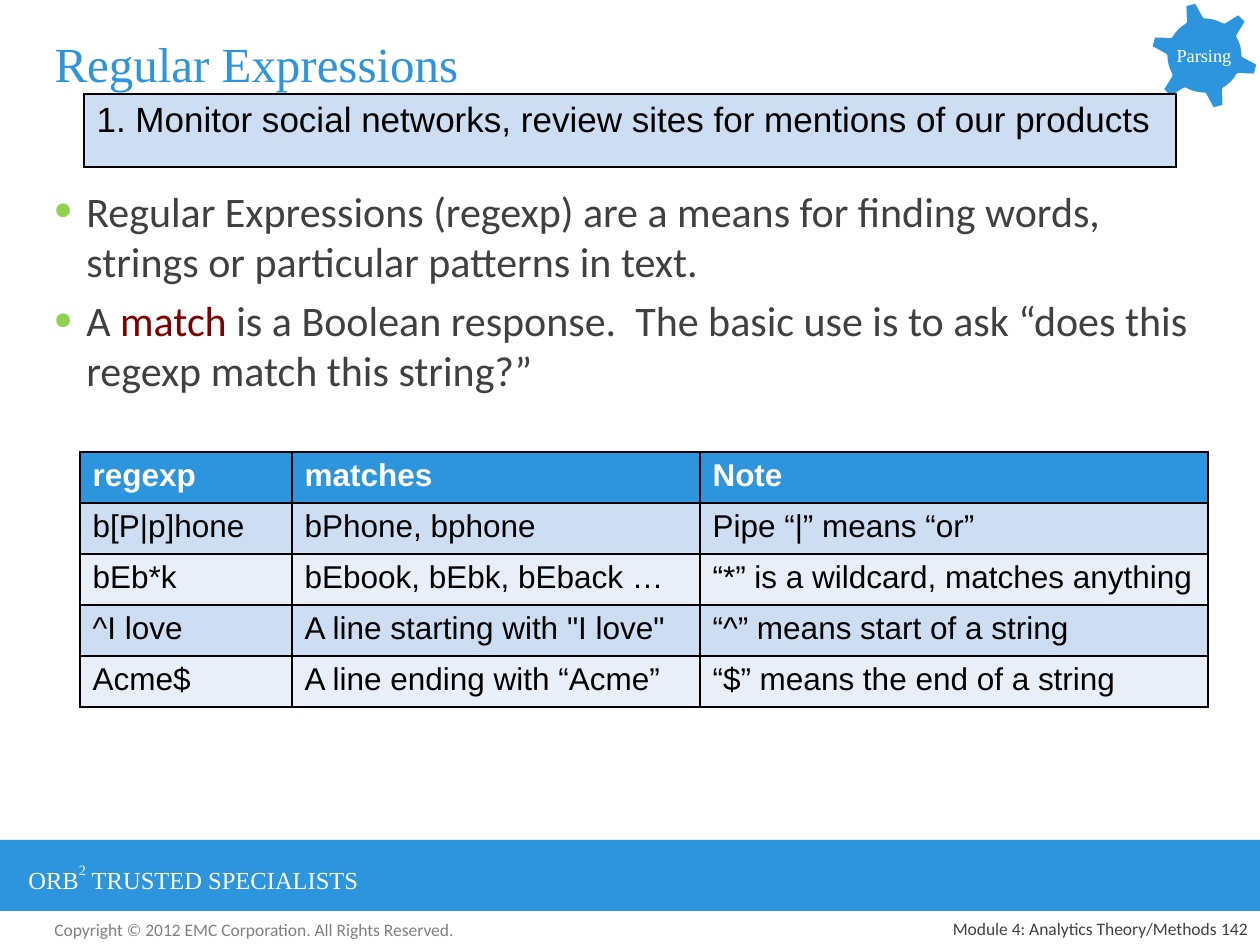
from lxml.etree import SubElement
from pptx import Presentation
from pptx.dml.color import RGBColor
from pptx.enum.shapes import MSO_SHAPE
from pptx.enum.text import MSO_ANCHOR, PP_ALIGN
from pptx.oxml import parse_xml
from pptx.oxml.ns import nsdecls, qn
from pptx.util import Pt

SCALE = 914400 / 126
BLUE, PALE, LIGHT = "2C95DD", "CDDDF2", "E8EFF9"
WHITE, BLACK, DARK = "FFFFFF", "000000", "404040"


def box(*place):
    return [round(n * SCALE) for n in place]


def write(line, runs, form):
    for text, more in runs:
        run = line.add_run()
        run.text = text
        for key, value in {**form, **more}.items():
            if key == "color":
                run.font.color.rgb = RGBColor.from_string(value)
            elif key == "baseline":
                run._r.get_or_add_rPr().set(key, value)
            else:
                setattr(run.font, key, value)


deck = Presentation()
deck.slide_width, deck.slide_height = box(1260, 945)
slide = deck.slides.add_slide(deck.slide_layouts[5])
shapes = slide.shapes

title = shapes.title
title.left, title.top, title.width, title.height = box(42, 10, 1166, 105)
title.text_frame.vertical_anchor = MSO_ANCHOR.MIDDLE
line = title.text_frame.paragraphs[0]
line.alignment = PP_ALIGN.LEFT
write(line, [("Regular Expressions", {})],
      {"size": Pt(28), "name": "Times New Roman", "color": BLUE})

band = shapes.add_group_shape().shapes
badge = shapes.add_group_shape().shapes
strip = band.add_shape(MSO_SHAPE.RECTANGLE, *box(0, 840, 1260, 71))
gear = badge.add_shape(MSO_SHAPE.GEAR_6, *box(1149, 0, 111, 111))
gear.rotation = 345
for shape in (strip, gear):
    shape.shadow.inherit = False
    shape.fill.solid()
    shape.fill.fore_color.rgb = RGBColor.from_string(BLUE)
strip.line.fill.background()
gear.line.color.rgb = RGBColor.from_string(WHITE)
gear.line.width = Pt(2)

serif = {"name": "Times New Roman", "color": WHITE}
small = {"name": "Calibri", "size": Pt(10), "color": DARK}
labels = [
    (band, (16, 855, 466, 43), PP_ALIGN.LEFT, MSO_ANCHOR.TOP,
     [("ORB", {}), ("2", {"baseline": "56000"}), (" TRUSTED SPECIALISTS", {})],
     {**serif, "size": Pt(14)}),
    (badge, (1173, 24, 62, 62), PP_ALIGN.CENTER, MSO_ANCHOR.MIDDLE,
     [("Parsing", {})], {**serif, "size": Pt(10.5)}),
    (shapes, (42, 913, 431, 34), PP_ALIGN.LEFT, MSO_ANCHOR.TOP,
     [("Copyright © 2012 EMC Corporation. All Rights Reserved.", {})],
     {**small, "color": "808080"}),
    (shapes, (1197, 913, 63, 32), PP_ALIGN.RIGHT, MSO_ANCHOR.BOTTOM,
     [("142", {})], small),
    (shapes, (651, 913, 578, 32), PP_ALIGN.RIGHT, MSO_ANCHOR.BOTTOM,
     [("Module 4: Analytics Theory/Methods", {})], small),
]
for group, place, align, anchor, runs, form in labels:
    frame = group.add_textbox(*box(*place)).text_frame
    frame.word_wrap = True
    frame.vertical_anchor = anchor
    if group is badge:
        for side in ("left", "top", "right", "bottom"):
            setattr(frame, "margin_" + side, box(1)[0])
    line = frame.paragraphs[0]
    line.alignment = align
    write(line, runs, form)

points = [
    [("Regular Expressions (regexp) are a means for finding words, "
      "strings or particular patterns in text.", {})],
    [("A ", {}), ("match ", {"color": "800000"}),
     ("is a Boolean response.  The basic use is to ask "
      "“does this regexp match this string?”", {})],
]
frame = shapes.add_textbox(*box(42, 179, 1166, 231)).text_frame
frame.word_wrap = True
for rank, runs in enumerate(points):
    line = frame.add_paragraph() if rank else frame.paragraphs[0]
    props = line._p.get_or_add_pPr()
    indent = box(32)[0]
    props.set("marL", str(indent))
    props.set("indent", str(-indent))
    tint = SubElement(props, qn("a:buClr"))
    SubElement(tint, qn("a:srgbClr"), val="92D050")
    SubElement(props, qn("a:buSzPct"), val="120000")
    SubElement(props, qn("a:buFont"), typeface="Arial")
    SubElement(props, qn("a:buChar"), char="•")
    if rank:
        line.space_before = Pt(4.8)
    write(line, runs, {"name": "Calibri", "size": Pt(24), "color": DARK})

goal = [["1. Monitor social networks, review sites for mentions of our products"]]
rules = [
    ["regexp", "matches", "Note"],
    ["b[P|p]hone", "bPhone, bphone", "Pipe “|” means “or”"],
    ["bEb*k", "bEbook, bEbk, bEback …", "“*” is a wildcard, matches anything"],
    ["^I love", 'A line starting with "I love"', "“^” means start of a string"],
    ["Acme$", "A line ending with “Acme”", "“$” means the end of a string"],
]
tables = [
    (goal, 84, 94, [1092], 73, 20, [PALE]),
    (rules, 80, 452, [212, 408, 508], 51, 18, [BLUE, PALE, LIGHT, PALE, LIGHT]),
]
for rows, left, top, widths, height, size, fills in tables:
    place = box(left, top, sum(widths), height * len(rows))
    table = shapes.add_table(len(rows), len(widths), *place).table
    table.horz_banding = False
    for col, width in zip(table.columns, box(*widths)):
        col.width = width
    for row, words, fill in zip(table.rows, rows, fills):
        row.height = box(height)[0]
        head = fill == BLUE
        form = {"name": "Arial", "size": Pt(size), "bold": head,
                "color": WHITE if head else BLACK}
        for cell, word in zip(row.cells, words):
            props = cell._tc.get_or_add_tcPr()
            for side in "LRTB":
                props.append(parse_xml(
                    f'<a:ln{side} {nsdecls("a")} w="12700"><a:solidFill>'
                    f'<a:srgbClr val="{BLACK}"/></a:solidFill></a:ln{side}>'))
            cell.fill.solid()
            cell.fill.fore_color.rgb = RGBColor.from_string(fill)
            write(cell.text_frame.paragraphs[0], [(word, {})], form)

deck.save("out.pptx")
